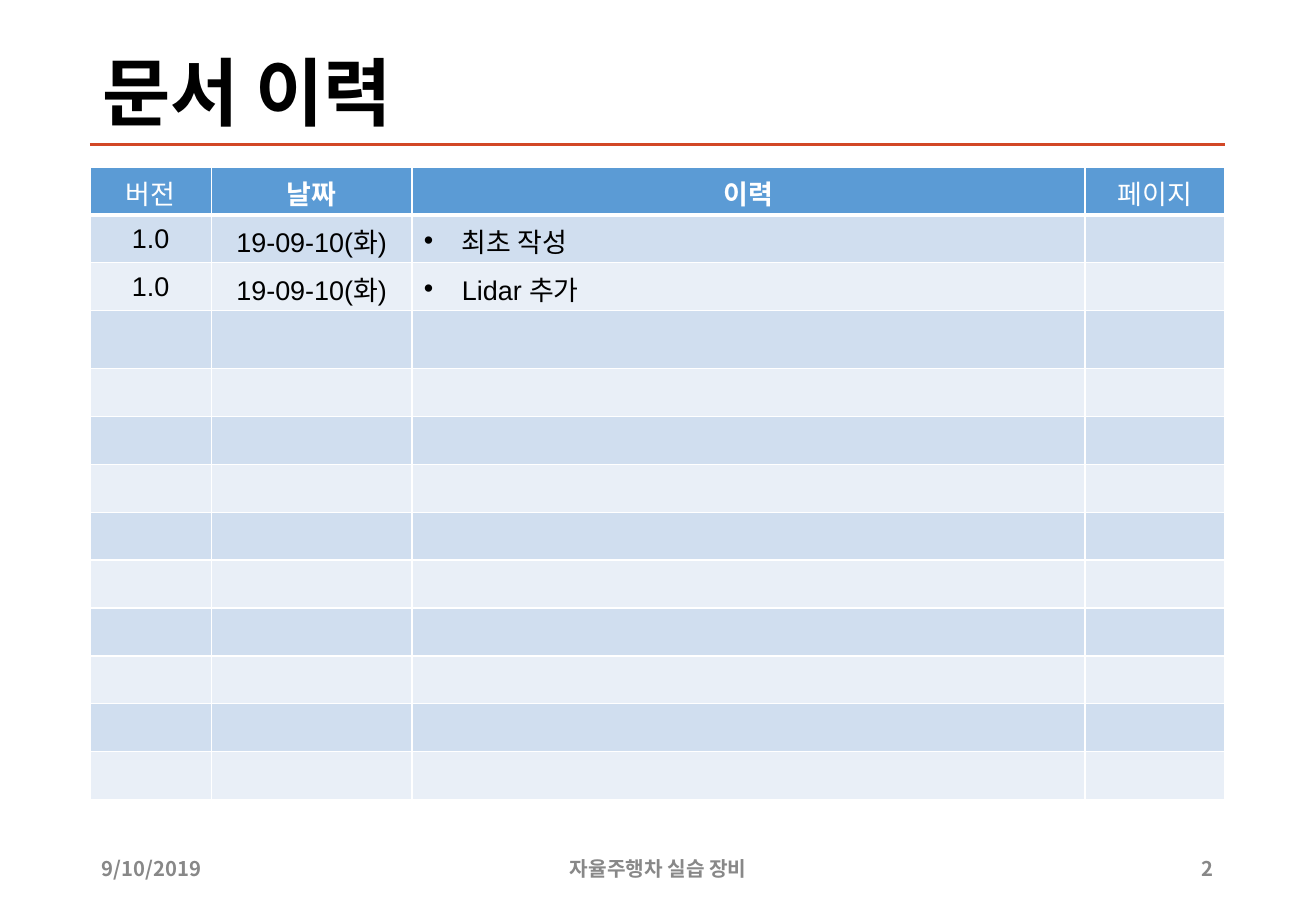
from lxml import etree
from pptx import Presentation, util as u
from pptx.dml.color import RGBColor
from pptx.enum import shapes, text
from pptx.oxml import ns

Pt = u.Pt
BLACK = RGBColor(0x00, 0x00, 0x00)
WHITE = RGBColor(0xFF, 0xFF, 0xFF)
GRAY = RGBColor(0x88, 0x88, 0x88)
ORANGE = RGBColor(0xD2, 0x47, 0x26)
HEADER_BLUE = RGBColor(0x5B, 0x9B, 0xD5)
BANDS = [RGBColor(0xD0, 0xDE, 0xEF), RGBColor(0xE9, 0xEF, 0xF7)]

LEFT, WIDTH = 53.3, 672.8
KOREAN = "Noto Sans CJK KR"
CENTER, RIGHT = text.PP_ALIGN.CENTER, text.PP_ALIGN.RIGHT
MIDDLE = text.MSO_ANCHOR.MIDDLE

HEADERS = ["버전", "날짜", "이력", "페이지"]
BOLD_HEADERS = {"날짜", "이력"}
ENTRIES = [
    ["1.0", "19-09-10(화)", "최초 작성", ""],
    ["1.0", "19-09-10(화)", "Lidar 추가", ""],
]
EMPTY_ROWS = 10
HISTORY_COLUMN = 2
COLUMN_WIDTHS = [72, 118.8, 399, 83]
ROW_HEIGHT, TALL_ROW, TALL_HEIGHT = 28.4, 3, 34.4


def child(parent, tag, **attributes):
    return etree.SubElement(parent, ns.qn(tag), attributes)


class HistoryPage:
    def __init__(self, deck):
        self.page = deck.slides.add_slide(deck.slide_layouts[5])

    def add_span(self, para, words, size, color, bold=False, font="Arial", align=None):
        para.alignment = align
        span = para.add_run()
        span.text = words
        span.font.size = Pt(size)
        span.font.name = font
        span.font.bold = bold
        span.font.color.rgb = color
        child(span._r.get_or_add_rPr(), "a:ea", typeface=KOREAN)

    def title(self, words):
        box = self.page.shapes.title
        box.left, box.top = Pt(LEFT), Pt(28.8)
        box.width, box.height = Pt(WIDTH), Pt(56.9)
        box.text_frame.vertical_anchor = MIDDLE
        para = box.text_frame.paragraphs[0]
        para.line_spacing = 0.9
        self.add_span(para, words, 44, BLACK, True, "Times New Roman", text.PP_ALIGN.LEFT)

    def rule(self, top):
        line = self.page.shapes.add_connector(
            shapes.MSO_CONNECTOR.STRAIGHT, Pt(LEFT), Pt(top), Pt(LEFT + WIDTH), Pt(top))
        line.line.color.rgb = ORANGE
        line.line.width = Pt(2)
        child(line._element.spPr, "a:effectLst")

    def footer(self, words, left, width, align):
        box = self.page.shapes.add_textbox(Pt(left), Pt(500.4), Pt(width), Pt(28.8))
        box.text_frame.word_wrap = True
        box.text_frame.vertical_anchor = MIDDLE
        self.add_span(box.text_frame.paragraphs[0], words, 12, GRAY, True, KOREAN, align)

    def bullet(self, para):
        props = para._p.get_or_add_pPr()
        props.set("marL", str(Pt(22.5)))
        props.set("indent", str(-Pt(22.5)))
        child(props, "a:buFont", typeface="Arial")
        child(props, "a:buChar", char="•")

    def borders(self, cell, top, bottom):
        """Draw white cell edges; top and bottom are widths in points."""
        props = cell._tc.get_or_add_tcPr()
        edges = [("L", 1), ("R", 1), ("T", top), ("B", bottom)]
        for place, (side, width) in enumerate(edges):
            edge = etree.Element(ns.qn(f"a:ln{side}"), w=str(Pt(width)))
            child(child(edge, "a:solidFill"), "a:srgbClr", val=str(WHITE))
            props.insert(place, edge)

    def table(self, rows, top):
        height = ROW_HEIGHT * (len(rows) - 1) + TALL_HEIGHT
        grid = self.page.shapes.add_table(
            len(rows), len(HEADERS), Pt(LEFT), Pt(top), Pt(WIDTH), Pt(height)).table
        for column, width in zip(grid.columns, COLUMN_WIDTHS):
            column.width = Pt(width)
        for r, row in enumerate(rows):
            grid.rows[r].height = Pt(TALL_HEIGHT if r == TALL_ROW else ROW_HEIGHT)
            for c, words in enumerate(row):
                self.cell(grid.cell(r, c), words, r, c)

    def cell(self, cell, words, r, c):
        header = r == 0
        cell.fill.solid()
        cell.fill.fore_color.rgb = HEADER_BLUE if header else BANDS[(r - 1) % 2]
        cell.vertical_anchor = MIDDLE
        self.borders(cell, 3 if r == 1 else 1, 3 if header else 1)
        para = cell.text_frame.paragraphs[0]
        if not words:
            child(para._p, "a:endParaRPr", sz="1600")
            return
        bulleted = c == HISTORY_COLUMN and not header
        self.add_span(para, words, 16, WHITE if header else BLACK,
                      header and words in BOLD_HEADERS, align=None if bulleted else CENTER)
        if bulleted:
            self.bullet(para)


def main():
    deck = Presentation()
    deck.slide_width, deck.slide_height = Pt(780), Pt(540)
    history = HistoryPage(deck)
    history.rule(85.7)
    history.title("문서 이력")
    history.footer("9/10/2019", LEFT, 91.4, text.PP_ALIGN.LEFT)
    history.footer("자율주행차 실습 장비", 258.5, 263.5, CENTER)
    history.footer("2", 688.3, 38.2, RIGHT)
    blanks = [[""] * len(HEADERS) for _ in range(EMPTY_ROWS)]
    history.table([HEADERS] + ENTRIES + blanks, 99)
    deck.save("out.pptx")


if __name__ == "__main__":
    main()
